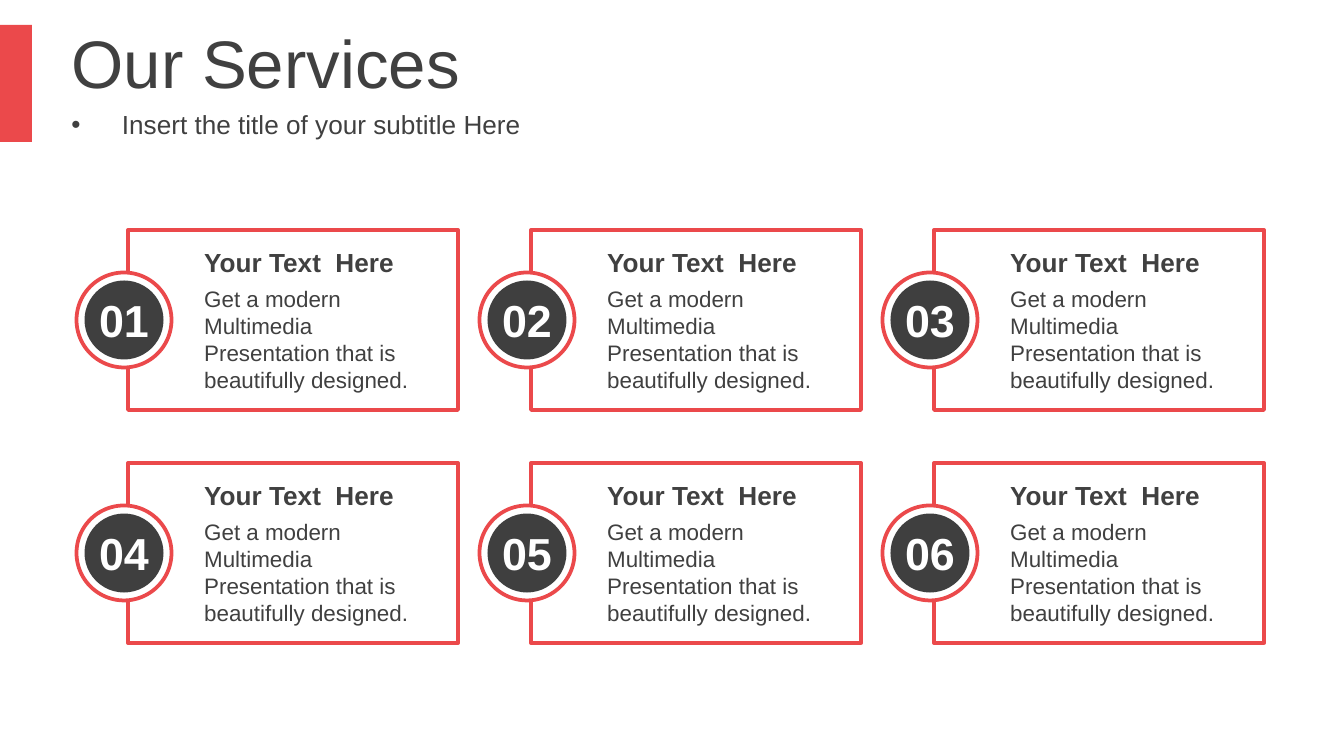
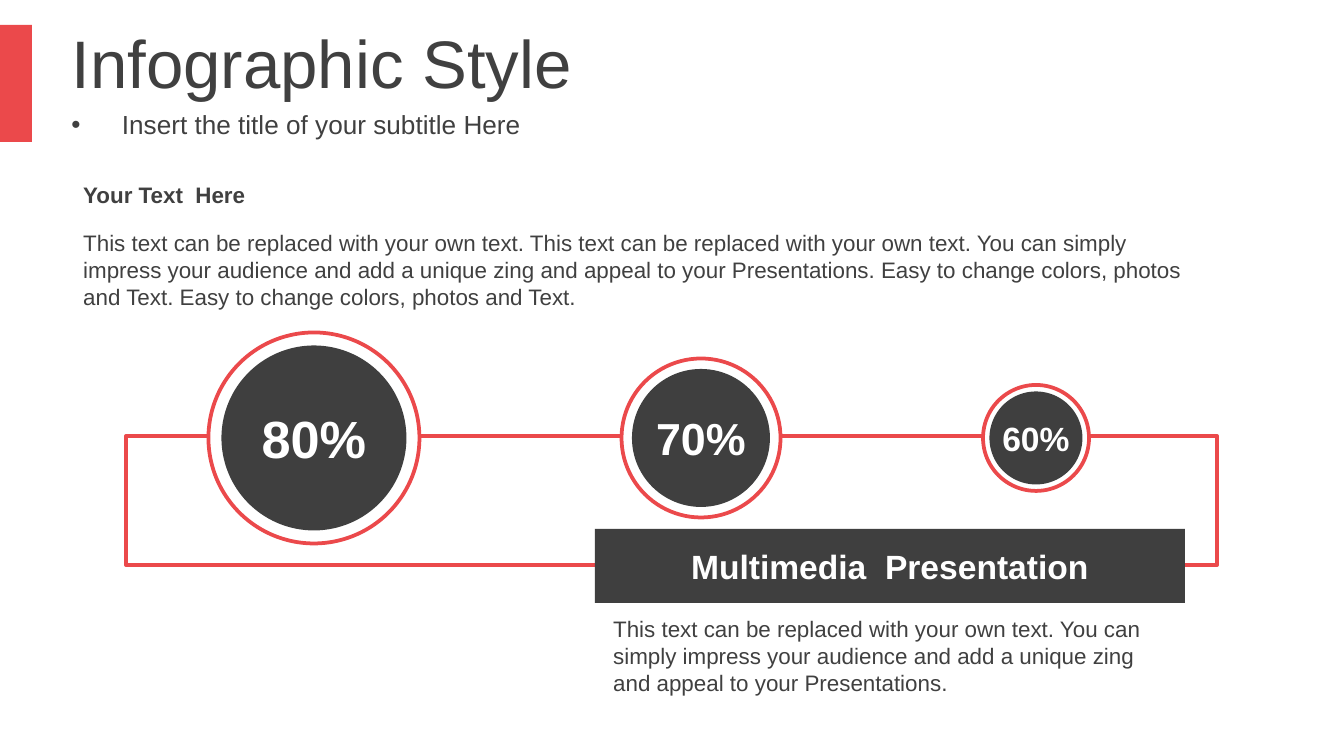
from dataclasses import dataclass

from lxml import etree
from pptx import Presentation
from pptx.dml.color import RGBColor
from pptx.enum.shapes import MSO_SHAPE
from pptx.enum.text import MSO_ANCHOR, MSO_AUTO_SIZE, PP_ALIGN
from pptx.oxml.ns import qn
from pptx.util import Emu, Pt

RECT, OVAL = MSO_SHAPE.RECTANGLE, MSO_SHAPE.OVAL
LEFT, CENTER = PP_ALIGN.LEFT, PP_ALIGN.CENTER
MIDDLE = MSO_ANCHOR.MIDDLE
NO_FIT = MSO_AUTO_SIZE.NONE

# Content
SUBTITLE = "Insert the title of your subtitle Here"
HEADING = "Your Text  Here"

SERVICES_TITLE = "Our Services"
SERVICE_TEXT = "Get a modern Multimedia  Presentation that is beautifully designed."
SERVICES = [(f"{n:02}", HEADING, SERVICE_TEXT) for n in range(1, 7)]

INFO_TITLE = "Infographic Style"
INFO_TEXT = (
    "This text can be replaced with your own text. This text can be replaced "
    "with your own text. You can simply impress your audience and add a unique "
    "zing and appeal to your Presentations. Easy to change colors, photos and "
    "Text. Easy to change colors, photos and Text."
)
BANNER = "Multimedia  Presentation"
BANNER_TEXT = (
    "This text can be replaced with your own text. You can simply impress your "
    "audience and add a unique zing and appeal to your Presentations."
)
# label, centre x, ring diameter, disc diameter, type size
PERCENTAGES = [
    ("80%", 314, 211, 185, 28),
    ("70%", 701, 159, 138, 24),
    ("60%", 1036, 106, 93, 18),
]


@dataclass(frozen=True)
class Theme:
    font: str = "Arial"
    accent: str = "EB494B"
    dark: str = "3F3F3F"
    text: str = "404040"
    white: str = "FFFFFF"
    title: int = 36
    subtitle: int = 14
    heading: int = 14
    body: int = 12
    number: int = 24
    banner: int = 18
    line: int = 2


T = Theme()

# Layout, in px
SLIDE_W, SLIDE_H = 1344, 756
BAND = (0, 25, 32, 117)
TITLE_BOX = (58, 19, 1027, 85)
SUBTITLE_BOX = (58, 103, 1027, 42)
COLUMNS = 3
CARD_X, CARD_Y, CARD_W, CARD_H = 128, 230, 330, 180
PITCH_X, PITCH_Y = 403, 233
RING_D, DISC_D = 95, 79
TRACK = (126, 436, 1091, 129)
TRACK_BADGE_Y = 438


def px(n):
    return Emu(round(n * 914400 / 134.4))


def rgb(code):
    return RGBColor.from_string(code)


def write(sp, text, size, color=T.text, bold=False, align=LEFT):
    tf = sp.text_frame
    tf.text = text
    tf.word_wrap = True
    tf.auto_size = NO_FIT
    tf.vertical_anchor = MIDDLE
    p = tf.paragraphs[0]
    p.alignment = align
    p.space_before = Pt(0)
    font = p.runs[0].font
    font.name, font.size, font.bold = T.font, Pt(size), bold
    font.color.rgb = rgb(color)


def add_text(slide, box, text, size, bold=False):
    sp = slide.shapes.add_textbox(*map(px, box))
    write(sp, text, size, bold=bold)


def add_box(slide, kind, box, fill=None, line=None):
    sp = slide.shapes.add_shape(kind, *map(px, box))
    sp.shadow.inherit = False
    if fill:
        sp.fill.solid()
        sp.fill.fore_color.rgb = rgb(fill)
    else:
        sp.fill.background()
    if line:
        sp.line.color.rgb = rgb(line)
        sp.line.width = Pt(T.line)
    else:
        sp.line.fill.background()
    return sp


def add_badge(slide, cx, cy, ring, disc, label, size):
    """Dark labelled disc inside a white, accent-lined ring."""
    def around(d):
        return cx - d / 2, cy - d / 2, d, d

    add_box(slide, OVAL, around(ring), T.white, T.accent)
    sp = add_box(slide, OVAL, around(disc), T.dark)
    write(sp, label, size, T.white, True, CENTER)
    sp.text_frame.word_wrap = False


def place(ph, box):
    ph.left, ph.top, ph.width, ph.height = map(px, box)


def add_slide(prs, title):
    """Slide with the accent band, title and subtitle."""
    slide = prs.slides.add_slide(prs.slide_layouts[1])
    add_box(slide, RECT, BAND, T.accent)
    place(slide.shapes.title, TITLE_BOX)
    write(slide.shapes.title, title, T.title)
    sub = slide.placeholders[1]
    place(sub, SUBTITLE_BOX)
    sub.text_frame.text = SUBTITLE
    ppr = sub.text_frame.paragraphs[0]._p.get_or_add_pPr()
    ppr.set("marL", "0")
    ppr.set("indent", "0")
    etree.SubElement(ppr, qn("a:buNone"))
    write(sub, SUBTITLE, T.subtitle)
    return slide


def build_services(prs):
    slide = add_slide(prs, SERVICES_TITLE)
    for i, (number, heading, text) in enumerate(SERVICES):
        row, col = divmod(i, COLUMNS)
        x, y = CARD_X + col * PITCH_X, CARD_Y + row * PITCH_Y
        add_box(slide, RECT, (x, y, CARD_W, CARD_H), T.white, T.accent)
        add_text(slide, (x + 63, y + 9, 267, 46), heading, T.heading, True)
        add_text(slide, (x + 63, y + 48, 267, 122), text, T.body)
        add_badge(slide, x - 4, y + CARD_H / 2, RING_D, DISC_D, number, T.number)


def build_infographic(prs):
    slide = add_slide(prs, INFO_TITLE)
    add_box(slide, RECT, TRACK, line=T.accent)
    add_text(slide, (70, 175, 1130, 40), HEADING, T.body, True)
    add_text(slide, (70, 222, 1130, 95), INFO_TEXT, T.body)
    for label, cx, ring, disc, size in PERCENTAGES:
        add_badge(slide, cx, TRACK_BADGE_Y, ring, disc, label, size)
    banner = add_box(slide, RECT, (595, 529, 590, 74), T.dark)
    write(banner, BANNER, T.banner, T.white, True, CENTER)
    add_text(slide, (600, 608, 587, 95), BANNER_TEXT, T.body)


def main():
    prs = Presentation()
    prs.slide_width, prs.slide_height = px(SLIDE_W), px(SLIDE_H)
    build_services(prs)
    build_infographic(prs)
    prs.save("out.pptx")


if __name__ == "__main__":
    main()
